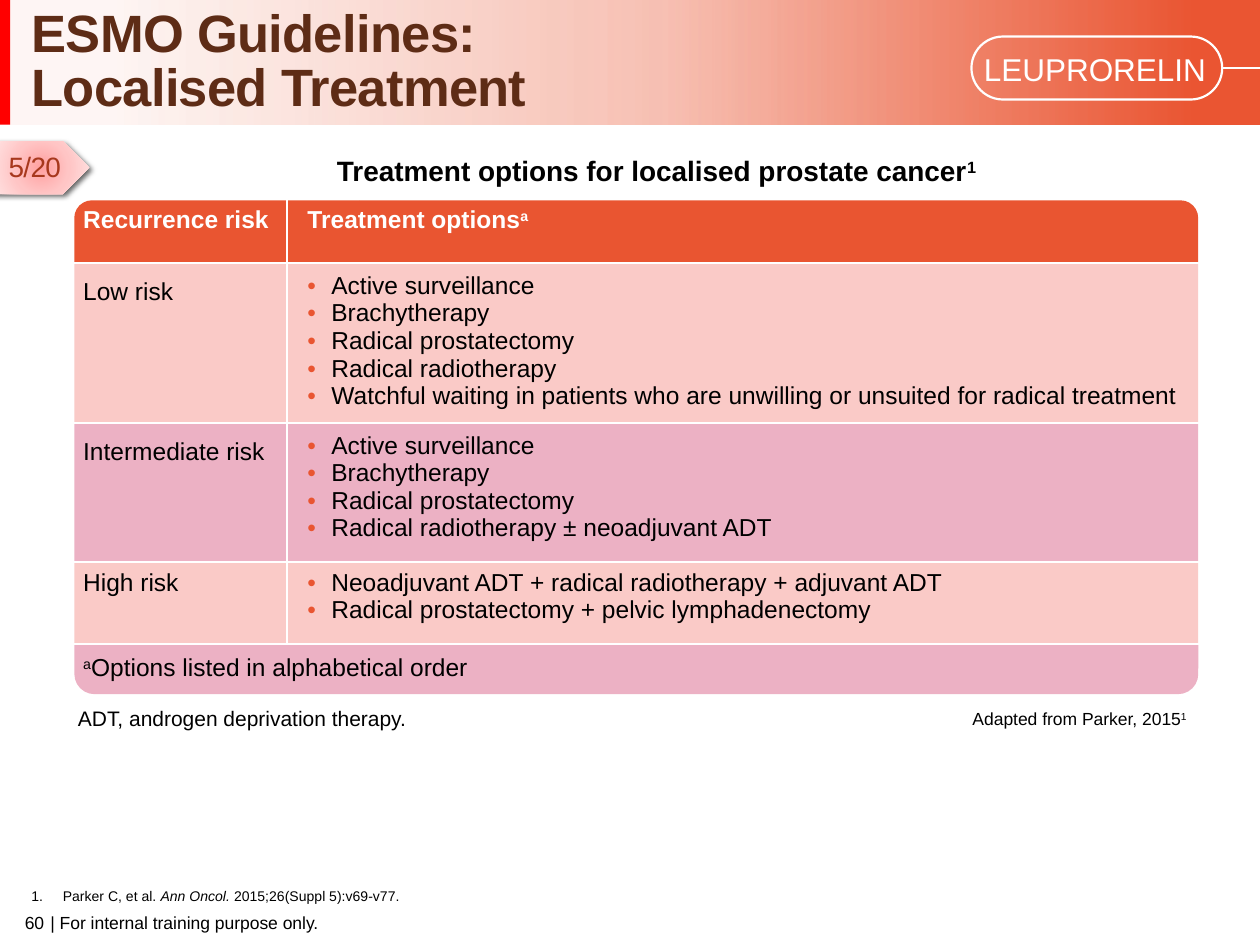
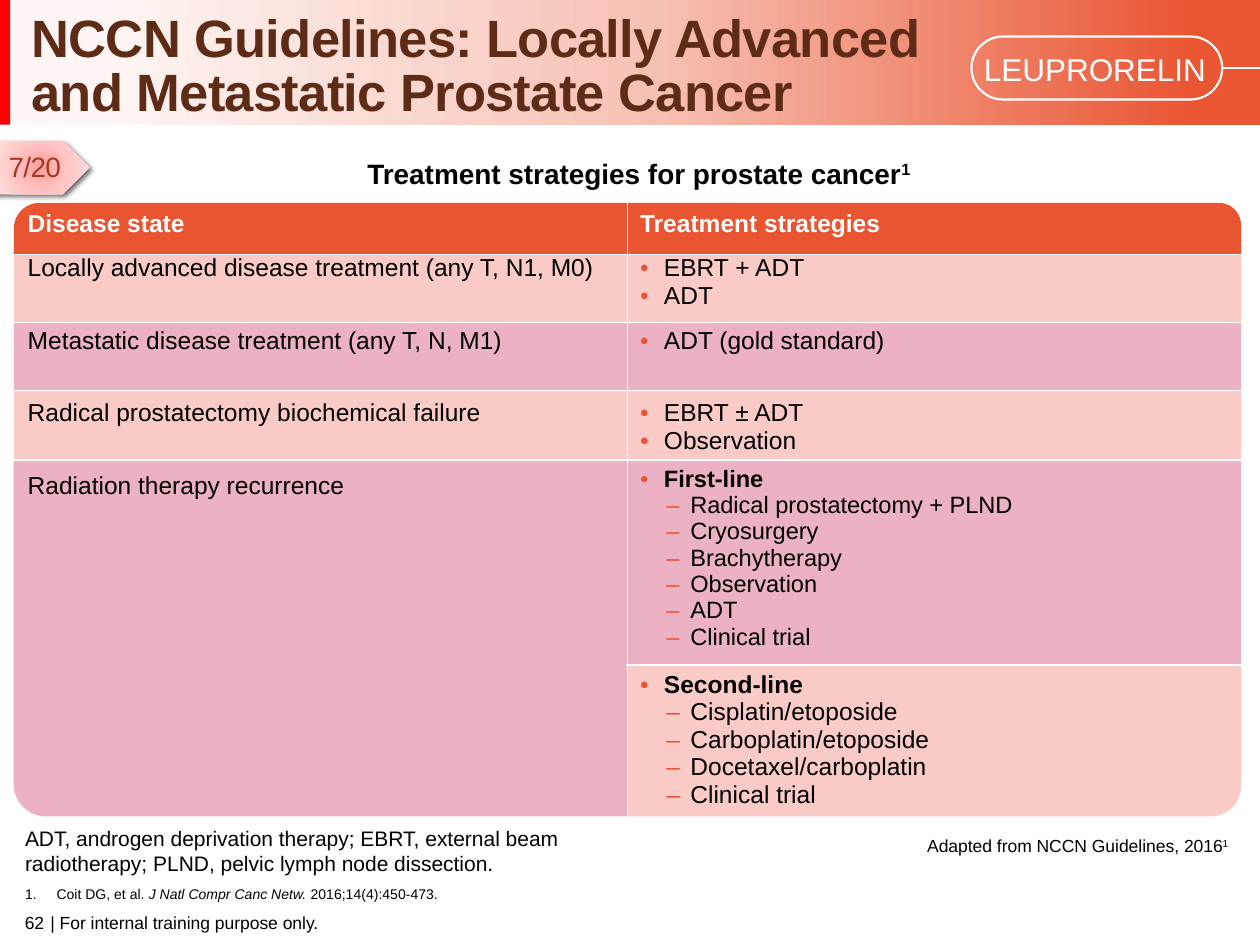
from dataclasses import dataclass
from typing import NamedTuple

from lxml import etree
from pptx import Presentation
from pptx.dml.color import RGBColor
from pptx.enum.shapes import MSO_CONNECTOR, MSO_SHAPE
from pptx.enum.text import MSO_ANCHOR, PP_ALIGN
from pptx.oxml.ns import qn
from pptx.util import Inches, Pt

RECTANGLE, ROUNDED = MSO_SHAPE.RECTANGLE, MSO_SHAPE.ROUNDED_RECTANGLE
ONE_CORNER, TWO_CORNERS = MSO_SHAPE.ROUND_1_RECTANGLE, MSO_SHAPE.ROUND_2_SAME_RECTANGLE
PENTAGON, STRAIGHT = MSO_SHAPE.PENTAGON, MSO_CONNECTOR.STRAIGHT
TOP, MIDDLE, BOTTOM = MSO_ANCHOR.TOP, MSO_ANCHOR.MIDDLE, MSO_ANCHOR.BOTTOM
LEFT, CENTER, RIGHT = PP_ALIGN.LEFT, PP_ALIGN.CENTER, PP_ALIGN.RIGHT
TITLE_ONLY = 5
PLAIN_TABLE = "{2D5ABB26-0587-4C30-8999-92F81FD0307C}"


@dataclass(frozen=True)
class Theme:
    font: str = "Arial"
    black: str = "000000"
    white: str = "FFFFFF"
    title: str = "5E2C16"
    edge: str = "FF0000"
    band: str = "EA5532"
    header: str = "E95531"
    peach: str = "FACAC7"
    pink: str = "ECB1C4"
    tag: str = "A7381D"
    tag_glow: tuple = ("FFA0A0", "FFC5C5", "FFE3E3")
    title_size: float = 30
    brand_size: float = 18
    caption_size: float = 16
    table_size: float = 14
    compact_size: float = 13.5
    note_size: float = 12
    small_size: float = 10
    reference_size: float = 8


THEME = Theme()


class Box(NamedTuple):
    left: float
    top: float
    width: float
    height: float


class Span(NamedTuple):
    text: str
    raised: bool = False
    italic: bool = False


class Style(NamedTuple):
    size: float
    color: str = THEME.black
    bold: bool = False
    tracking: int = 0


class Line(NamedTuple):
    spans: tuple
    style: Style = Style(THEME.table_size)
    bullet: str = ""


class Cell(NamedTuple):
    lines: tuple
    top: float = 0.05
    bottom: float = 0.05
    columns: int = 1
    rows: int = 1


class Panel(NamedTuple):
    box: Box
    color: str
    kind: int = RECTANGLE
    adjustments: tuple = ()
    flips: str = ""


@dataclass(frozen=True)
class Grid:
    left: float
    split: float
    right: float
    edges: tuple
    corners: tuple
    closing: tuple
    rule_x: float
    rule_bottom: float
    side_edges: tuple = ()


@dataclass(frozen=True)
class TableText:
    left: float
    top: float
    columns: tuple
    rows: tuple
    side: float
    cells: tuple


@dataclass(frozen=True)
class Page:
    number: str
    tag: str
    title: str
    title_box: Box
    caption: tuple
    caption_box: Box
    source: tuple
    source_box: Box
    note: str
    note_box: Box
    reference: tuple
    reference_box: Box
    grid: Grid
    table: TableText


HEADER = Style(THEME.table_size, THEME.white, True)
INDENTS = {"•": 0.19, "–": 0.4, "1.": 0.25}


def plain(text: str, style: Style = Style(THEME.table_size), **options) -> Cell:
    return Cell((Line((Span(text),), style),), **options)


def bullets(*texts: str, **options) -> Cell:
    return Cell(tuple(Line((Span(text),), bullet="•") for text in texts), **options)


def therapy_line(heading: str, size: float, *options: str) -> Cell:
    first = Line((Span(heading),), Style(size, bold=True), "•")
    return Cell((first, *(Line((Span(text),), Style(size), "–") for text in options)), top=0)


def add_bullet(paragraph, mark: str) -> None:
    properties = paragraph._p.get_or_add_pPr()
    hanging = 0.25 if mark == "1." else 0.19
    properties.set("marL", str(Inches(INDENTS[mark])))
    properties.set("indent", str(-Inches(hanging)))
    if mark == "1.":
        etree.SubElement(properties, qn("a:buAutoNum"), type="arabicPeriod")
        return
    color = etree.SubElement(properties, qn("a:buClr"))
    etree.SubElement(color, qn("a:srgbClr"), val=THEME.header)
    etree.SubElement(properties, qn("a:buFont"), typeface=THEME.font)
    etree.SubElement(properties, qn("a:buChar"), char=mark)


def format_run(run, style: Style, italic: bool = False, raised: bool = False) -> None:
    font = run.font
    font.name, font.size = THEME.font, Pt(style.size)
    font.bold, font.italic = style.bold, italic
    font.color.rgb = RGBColor.from_string(style.color)
    if style.tracking:
        font._element.set("spc", str(style.tracking))
    if raised:
        font._element.set("baseline", "30000")


def write_lines(text_frame, lines: tuple) -> None:
    for index, line in enumerate(lines):
        paragraph = text_frame.add_paragraph() if index else text_frame.paragraphs[0]
        if line.bullet:
            add_bullet(paragraph, line.bullet)
        for span in line.spans:
            run = paragraph.add_run()
            run.text = span.text
            format_run(run, line.style, span.italic, span.raised)


def add_text(slide, box: Box, line: Line, align=LEFT, anchor=TOP, wrap=True, inset=True) -> None:
    text_frame = slide.shapes.add_textbox(*map(Inches, box)).text_frame
    text_frame.word_wrap, text_frame.vertical_anchor = wrap, anchor
    if not inset:
        text_frame.margin_left = text_frame.margin_right = 0
        text_frame.margin_top = text_frame.margin_bottom = 0
    write_lines(text_frame, (line,))
    text_frame.paragraphs[0].alignment = align


def add_panel(shapes, panel: Panel):
    shape = shapes.add_shape(panel.kind, *map(Inches, panel.box))
    shape.shadow.inherit = False
    shape.line.fill.background()
    if panel.color:
        shape.fill.solid()
        shape.fill.fore_color.rgb = RGBColor.from_string(panel.color)
    else:
        shape.fill.background()
    for index, value in enumerate(panel.adjustments):
        shape.adjustments[index] = value
    for axis in panel.flips:
        shape._element.spPr.xfrm.set("flip" + axis, "1")
    return shape


def add_rule(shapes, start: tuple, end: tuple, width: float = 1) -> None:
    rule = shapes.add_connector(STRAIGHT, *map(Inches, start + end))
    rule.line.color.rgb = RGBColor.from_string(THEME.white)
    rule.line.width = Pt(width)
    etree.SubElement(rule._element.spPr, qn("a:effectLst"))


def set_gradient(shape, stops: tuple, radial: bool = False) -> None:
    properties = shape._element.spPr
    gradient = etree.Element(qn("a:gradFill"), rotWithShape="1")
    stop_list = etree.SubElement(gradient, qn("a:gsLst"))
    for position, color, opacity in stops:
        stop = etree.SubElement(stop_list, qn("a:gs"), pos=str(position * 1000))
        value = etree.SubElement(stop, qn("a:srgbClr"), val=color)
        etree.SubElement(value, qn("a:alpha"), val=str(opacity * 1000))
    if radial:
        circle = etree.SubElement(gradient, qn("a:path"), path="circle")
        etree.SubElement(circle, qn("a:fillToRect"), l="50000", t="50000", r="50000", b="50000")
    else:
        etree.SubElement(gradient, qn("a:lin"), ang="0", scaled="0")
    properties.replace(properties.find(qn("a:noFill")), gradient)


def add_header(slide, page: Page) -> None:
    band = add_panel(slide.shapes, Panel(Box(-0.01, 0, 10.01, 0.99), ""))
    set_gradient(band, tuple((position, THEME.band, opacity)
                             for position, opacity in ((9, 5), (53, 37), (95, 100))))
    add_panel(slide.shapes, Panel(Box(-0.01, 0, 0.09, 0.99), THEME.edge))
    pill = add_panel(slide.shapes, Panel(Box(7.71, 0.29, 1.99, 0.5), "", ROUNDED, (0.5,)))
    pill.line.color.rgb = RGBColor.from_string(THEME.white)
    pill.line.width = Pt(1.25)
    add_rule(slide.shapes, (9.69, 0.54), (10, 0.54), 1.4)
    add_text(slide, Box(7.71, 0.35, 2.03, 0.4),
             Line((Span("LEUPRORELIN"),), Style(THEME.brand_size, THEME.white)))
    title = slide.shapes.title
    slide.shapes._spTree.append(title._element)
    title.left, title.top, title.width, title.height = map(Inches, page.title_box)
    title.text_frame.vertical_anchor = BOTTOM
    title.text_frame.word_wrap = True
    paragraph = title.text_frame.paragraphs[0]
    paragraph.text = page.title
    paragraph.alignment, paragraph.line_spacing = LEFT, 0.85
    for run in paragraph.runs:
        format_run(run, Style(THEME.title_size, THEME.title, True, -40))


def add_tag(slide, label: str) -> None:
    tag = add_panel(slide.shapes, Panel(Box(-0.05, 1.12, 0.76, 0.42), "", PENTAGON))
    set_gradient(tag, tuple(zip((0, 50, 100), THEME.tag_glow, (100,) * 3)), radial=True)
    effects = tag._element.spPr.find(qn("a:effectLst"))
    shadow = etree.SubElement(effects, qn("a:outerShdw"), blurRad=str(Pt(3)),
                              dist=str(Pt(2)), dir="2700000", algn="tl")
    color = etree.SubElement(shadow, qn("a:srgbClr"), val=THEME.black)
    etree.SubElement(color, qn("a:alpha"), val="60000")
    style = Style(THEME.caption_size, THEME.tag, tracking=-40)
    add_text(slide, Box(-0.03, 1.14, 0.62, 0.37), Line((Span(label),), style), wrap=False)


def add_footer(slide, number: str) -> None:
    style = Style(THEME.small_size)
    add_text(slide, Box(0.4, 7.22, 4.72, 0.2),
             Line((Span("| For internal training purpose only."),), style),
             anchor=MIDDLE, inset=False)
    add_text(slide, Box(0, 7.22, 0.35, 0.2), Line((Span(number),), style),
             RIGHT, MIDDLE, inset=False)


def add_grid(slide, grid: Grid) -> None:
    shapes = slide.shapes.add_group_shape().shapes
    spans = ((grid.left, grid.split), (grid.split, grid.right))
    for row, (top, bottom) in enumerate(zip(grid.edges, grid.edges[1:])):
        for column, (start, end) in enumerate(spans):
            box = Box(start, top, end - start, bottom - top)
            if row == 0:
                panel = Panel(box, THEME.header, ONE_CORNER,
                              (grid.corners[column],), "" if column else "H")
            else:
                panel = Panel(box, THEME.peach if row % 2 else THEME.pink)
            add_panel(shapes, panel)
    for panel in grid.closing:
        add_panel(shapes, panel)
    add_rule(shapes, (grid.rule_x, grid.edges[0] - 0.01), (grid.rule_x, grid.rule_bottom))
    for edge in grid.edges[1:] + grid.side_edges:
        start = grid.split if edge in grid.side_edges else grid.left
        add_rule(shapes, (start - 0.01, edge), (grid.right + 0.01, edge))


def add_table_text(slide, spec: TableText) -> None:
    frame = slide.shapes.add_table(len(spec.rows), len(spec.columns), Inches(spec.left),
                                   Inches(spec.top), Inches(sum(spec.columns)),
                                   Inches(sum(spec.rows)))
    table = frame.table
    table._tbl.tblPr.find(qn("a:tableStyleId")).text = PLAIN_TABLE
    table.first_row = table.horz_banding = False
    for column, width in zip(table.columns, spec.columns):
        column.width = Inches(width)
    for row, height in zip(table.rows, spec.rows):
        row.height = Inches(height)
    for row, contents in enumerate(spec.cells):
        for column, content in enumerate(contents):
            cell = table.cell(row, column)
            cell.fill.background()
            if content is None:
                continue
            cell.margin_left = cell.margin_right = Inches(spec.side)
            cell.margin_top, cell.margin_bottom = Inches(content.top), Inches(content.bottom)
            write_lines(cell.text_frame, content.lines)
            if content.columns * content.rows > 1:
                cell.merge(table.cell(row + content.rows - 1, column + content.columns - 1))


def add_page(presentation, page: Page) -> None:
    slide = presentation.slides.add_slide(presentation.slide_layouts[TITLE_ONLY])
    add_header(slide, page)
    add_footer(slide, page.number)
    add_text(slide, page.source_box, Line(page.source, Style(THEME.small_size)), wrap=False)
    add_text(slide, page.note_box, Line((Span(page.note),), Style(THEME.note_size)))
    add_text(slide, page.caption_box,
             Line(page.caption, Style(THEME.caption_size, bold=True)), CENTER)
    add_text(slide, page.reference_box,
             Line(page.reference, Style(THEME.reference_size), "1."), anchor=BOTTOM)
    add_tag(slide, page.tag)
    add_grid(slide, page.grid)
    add_table_text(slide, page.table)


LOCALISED = Page(
    "60", "5/20", "ESMO Guidelines:\nLocalised Treatment", Box(0.15, 0.28, 7.77, 0.7),
    (Span("Treatment options for localised prostate cancer"), Span("1", True)),
    Box(0.75, 1.17, 8.92, 0.37),
    (Span("Adapted from Parker, 2015"), Span("1", True)), Box(7.62, 5.57, 1.93, 0.27),
    "ADT, androgen deprivation therapy.", Box(0.52, 5.55, 6.13, 0.3),
    (Span("Parker C, et al. "), Span("Ann Oncol. ", italic=True),
     Span("2015;26(Suppl 5):v69-v77.")), Box(0.15, 6.99, 7.99, 0.24),
    Grid(0.59, 2.85, 9.51, (1.59, 2.09, 3.36, 4.46, 5.11), (0.28, 0.28),
         (Panel(Box(0.59, 5.11, 8.92, 0.4), THEME.pink, TWO_CORNERS, (0.4, 0), "V"),),
         2.28, 5.12),
    TableText(0.56, 1.59, (1.78, 7.65), (0.57, 1.27, 0.98, 0.63, 0.38), 0.1, (
        (plain("Recurrence risk", HEADER),
         Cell((Line((Span("Treatment options"), Span("a", True)), HEADER),))),
        (plain("Low risk"),
         bullets("Active surveillance", "Brachytherapy", "Radical prostatectomy",
                 "Radical radiotherapy", "Watchful waiting in patients who are unwilling "
                 "or unsuited for radical treatment", top=0, bottom=0.1)),
        (plain("Intermediate risk"),
         bullets("Active surveillance", "Brachytherapy", "Radical prostatectomy",
                 "Radical radiotherapy ± neoadjuvant ADT", top=0)),
        (plain("High risk", top=0.1),
         bullets("Neoadjuvant ADT + radical radiotherapy + adjuvant ADT",
                 "Radical prostatectomy + pelvic lymphadenectomy", top=0.1)),
        (Cell((Line((Span("a", True), Span("Options listed in alphabetical order"))),),
              0.15, 0, columns=2), None))))

ADVANCED = Page(
    "62", "7/20", "NCCN Guidelines: Locally Advanced and Metastatic Prostate Cancer",
    Box(0.15, 0.32, 8.06, 0.7),
    (Span("Treatment strategies for prostate cancer"), Span("1", True)),
    Box(0.55, 1.19, 9.04, 0.37),
    (Span("Adapted from NCCN Guidelines, 2016"), Span("1", True)), Box(7.26, 6.58, 2.62, 0.27),
    "ADT, androgen deprivation therapy; EBRT, external beam radiotherapy; "
    "PLND, pelvic lymph node dissection.", Box(0.1, 6.5, 5.28, 0.5),
    (Span("Coit DG, et al. "), Span("J Natl Compr Canc Netw. ", italic=True),
     Span("2016;14(4):450-473.")), Box(0.1, 6.97, 7.99, 0.24),
    Grid(0.11, 4.98, 9.85, (1.61, 2.02, 2.56, 3.1, 3.65), (0.5, 0.43),
         (Panel(Box(0.11, 3.65, 4.87, 2.83), THEME.pink, ONE_CORNER, (0.09,), "HV"),
          Panel(Box(4.98, 3.65, 4.87, 1.63), THEME.pink),
          Panel(Box(4.98, 5.28, 4.87, 1.2), THEME.peach, ONE_CORNER, (0.2,), "V")),
         4.98, 6.48, (5.28,)),
    TableText(0.11, 1.62, (4.86, 4.86), (0.35, 0.58, 0.57, 0.58, 1.62, 1.22), 0.11, (
        (plain("Disease state", HEADER), plain("Treatment strategies", HEADER)),
        (plain("Locally advanced disease treatment (any T, N1, M0)"),
         bullets("EBRT + ADT", "ADT")),
        (plain("Metastatic disease treatment (any T, N, M1)"), bullets("ADT (gold standard)")),
        (plain("Radical prostatectomy biochemical failure"),
         bullets("EBRT ± ADT", "Observation")),
        (plain("Radiation therapy recurrence", rows=2),
         therapy_line("First-line", THEME.compact_size, "Radical prostatectomy + PLND",
                      "Cryosurgery", "Brachytherapy", "Observation", "ADT", "Clinical trial")),
        (None, therapy_line("Second-line", THEME.table_size, "Cisplatin/etoposide",
                            "Carboplatin/etoposide", "Docetaxel/carboplatin",
                            "Clinical trial")))))


def main() -> None:
    presentation = Presentation()
    presentation.slide_width, presentation.slide_height = Inches(10), Inches(7.5)
    for page in (LOCALISED, ADVANCED):
        add_page(presentation, page)
    presentation.save("out.pptx")


if __name__ == "__main__":
    main()
